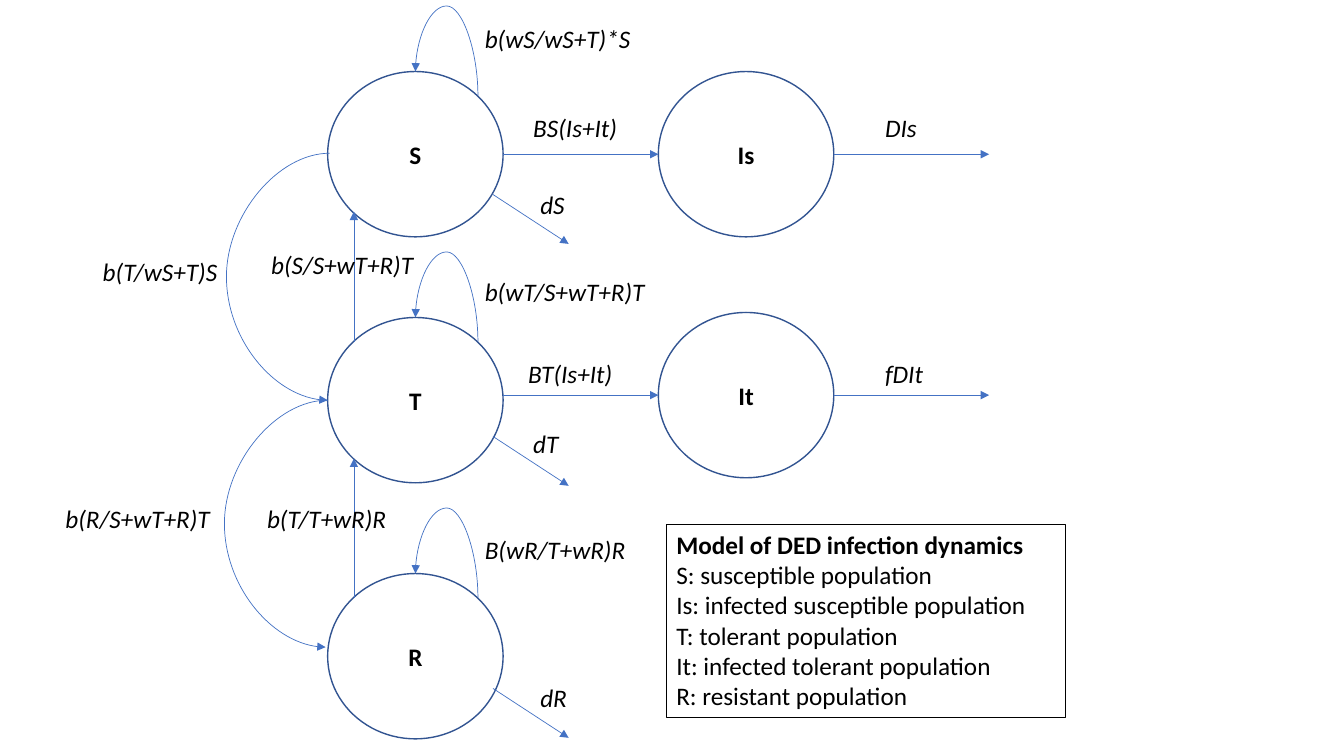
from lxml import etree
from pptx import Presentation
from pptx import util as u
from pptx.dml.color import RGBColor
from pptx.enum import shapes, text
from pptx.oxml import ns

FONT, BLACK, RING, ARROW = "Calibri", "000000", "325491", "4472C4"
CIRCLE_W, CIRCLE_H = 1.74, 1.64
LABEL_H = 0.4


def color(value):
    return RGBColor.from_string(value)


def add_child(parent, tag, **attributes):
    return etree.SubElement(parent, ns.qn(tag), **attributes)


def write(box, lines, bold_first=False, italic=False,
          align=text.PP_ALIGN.LEFT, anchor=text.MSO_ANCHOR.TOP):
    frame = box.text_frame
    frame.word_wrap = True
    frame.vertical_anchor = anchor
    for index, line in enumerate(lines):
        para = frame.paragraphs[0] if index == 0 else frame.add_paragraph()
        para.alignment = align
        span = para.add_run()
        span.text = line
        span.font.name, span.font.size = FONT, u.Pt(18)
        span.font.color.rgb = color(BLACK)
        span.font.bold = bold_first and index == 0
        span.font.italic = italic


def add_label(page, words, left, top, width):
    box = page.shapes.add_textbox(*map(u.Inches, (left, top, width, LABEL_H)))
    write(box, [words], italic=True)


def add_outline(page, kind, box, line, weight):
    shape = page.shapes.add_shape(kind, *map(u.Inches, box))
    shape.shadow.inherit = False
    shape.fill.background()
    shape.line.color.rgb = color(line)
    shape.line.width = u.Pt(weight)
    return shape


def add_circle(page, name, left, top):
    circle = add_outline(page, shapes.MSO_SHAPE.OVAL,
                         (left, top, CIRCLE_W, CIRCLE_H), RING, 1)
    write(circle, [name], bold_first=True, align=text.PP_ALIGN.CENTER,
          anchor=text.MSO_ANCHOR.MIDDLE)


def add_arrow(page, start, end, kind=shapes.MSO_CONNECTOR.STRAIGHT):
    arrow = page.shapes.add_connector(kind, *map(u.Inches, (*start, *end)))
    arrow.line.color.rgb = color(ARROW)
    arrow.line.width = u.Pt(0.5)
    add_child(arrow.line._get_or_add_ln(), "a:tailEnd", type="triangle")
    add_child(arrow._element.spPr, "a:effectLst")
    return arrow


def add_curve(page, start, end, bend, upright=False):
    """Curve that swings out to bend: an x, or a y when upright."""
    axis = 1 if upright else 0
    share = (bend - start[axis]) / (end[axis] - start[axis])
    if upright:  # lay the ends flat, then turn the curve back by 270 degrees
        mid_x, mid_y = (start[0] + end[0]) / 2, (start[1] + end[1]) / 2
        start, end = [(mid_x - (y - mid_y), mid_y + (x - mid_x))
                      for x, y in (start, end)]
    curve = add_arrow(page, start, end, shapes.MSO_CONNECTOR.CURVE)
    properties = curve._element.spPr
    if upright:
        properties.find(ns.qn("a:xfrm")).set("rot", str(270 * 60000))
    geometry = properties.find(ns.qn("a:prstGeom"))
    guides = geometry.find(ns.qn("a:avLst"))
    if guides is None:
        guides = add_child(geometry, "a:avLst")
    add_child(guides, "a:gd", name="adj1", fmla=f"val {round(share * 100000)}")


def add_population(page, left, top, name, birth, birth_box, death, death_at, death_y):
    add_circle(page, name, left, top)
    # Birth loop on top of the circle
    add_curve(page, (left + 1.49, top + 0.24), (left + 0.87, top),
              top - 0.65, upright=True)
    add_label(page, birth, left + 1.46, top + birth_box[0], birth_box[1])
    # Natural death
    add_arrow(page, (left + 1.64, top + death_y), (left + 2.39, top + death_y + 0.49))
    add_label(page, death, left + death_at[0], top + death_at[1], 0.99)


def add_infection(page, left, top, name, rate, rate_left, loss, label_y):
    middle = top + 0.82
    add_circle(page, name, left, top)
    add_arrow(page, (left - 1.54, middle), (left, middle))
    add_label(page, rate, left + rate_left, top + label_y, 1.19)
    add_arrow(page, (left + CIRCLE_W, middle), (left + CIRCLE_W + 1.54, middle))
    add_label(page, loss, left + 2.15, top + label_y, 0.99)


def add_exchange(page, left, top, down, down_box, up, up_box, rise):
    # Downward curve on the left, upward arrow between the circles
    add_curve(page, (left + 0.02, top), (left, top + 2.45), left - 1)
    add_label(page, down, left + down_box[0], top + down_box[1], down_box[2])
    add_arrow(page, (3.51, top + rise[0]), (3.51, top + rise[1]))
    add_label(page, up, left + up_box[0], top + up_box[1], up_box[2])


def add_legend(page, left, top, width, height):
    legend = add_outline(page, shapes.MSO_SHAPE.RECTANGLE,
                         (left, top, width, height), BLACK, 0.75)
    write(legend, ["Model of DED infection dynamics",
                   "S: susceptible population",
                   "Is: infected susceptible population",
                   "T: tolerant population",
                   "It: infected tolerant population",
                   "R: resistant population"], bold_first=True)


deck = Presentation()
deck.slide_width, deck.slide_height = u.Inches(13.33), u.Inches(7.5)
page = deck.slides.add_slide(deck.slide_layouts[6])

# Healthy populations
for population in [
    (0.71, "S", "b(wS/wS+T)*S", (-0.53, 1.8), "dS", (2.01, 1.12), 1.22),
    (3.15, "T", "b(wT/S+wT+R)T", (-0.46, 1.82), "dT", (1.94, 1.05), 1.18),
    (5.69, "R", "B(wR/T+wR)R", (-0.44, 1.9), "dR", (2.01, 1.03), 1.14),
]:
    add_population(page, 3.25, *population)

# Infected populations
add_infection(page, 6.53, 0.71, "Is", "BS(Is+It)", -1.34, "DIs", 0.36)
add_infection(page, 6.53, 3.1, "It", "BT(Is+It)", -1.39, "fDIt", 0.41)

# Exchange between neighbouring populations
add_exchange(page, 3.25, 1.52, "b(T/wS+T)S", (-2.33, 0.97, 1.51),
             "b(S/S+wT+R)T", (-0.66, 0.9, 1.69), (1.87, 0.58))
add_exchange(page, 3.23, 3.97, "b(R/S+wT+R)T", (-2.68, 0.97, 1.7),
             "b(T/T+wR)R", (-0.68, 0.97, 1.69), (1.96, 0.58))

add_legend(page, 6.61, 5.2, 3.96, 1.92)

deck.save("out.pptx")
